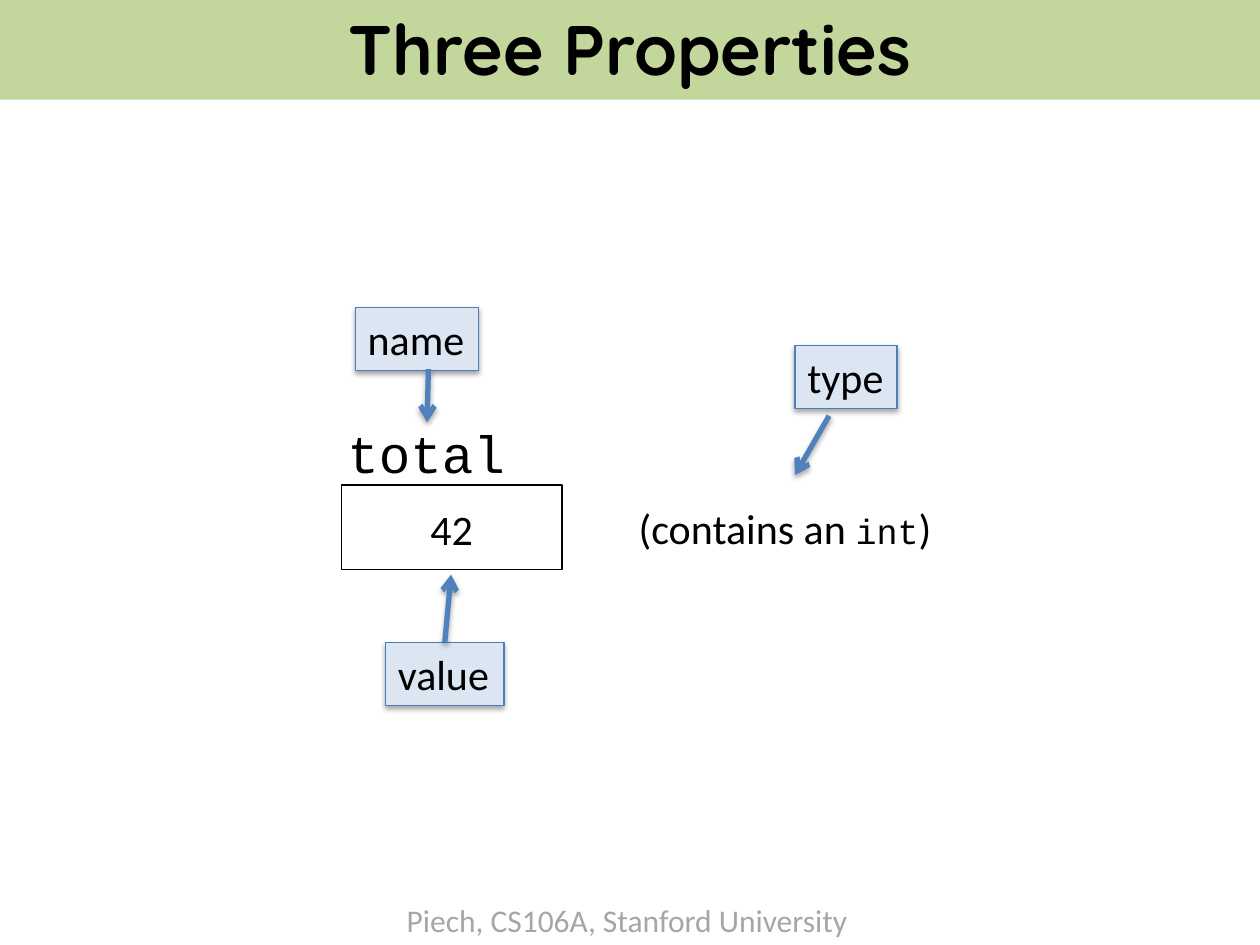
import pptx
import pptx.dml.color
import pptx.enum.shapes
import pptx.enum.text
import pptx.oxml
import pptx.oxml.ns
import pptx.util
from lxml import etree

RGBColor = pptx.dml.color.RGBColor
Inches = pptx.util.Inches
Pt = pptx.util.Pt
Align = pptx.enum.text.PP_ALIGN
Anchor = pptx.enum.text.MSO_ANCHOR
AutoSize = pptx.enum.text.MSO_AUTO_SIZE
RECTANGLE = pptx.enum.shapes.MSO_SHAPE.RECTANGLE
STRAIGHT = pptx.enum.shapes.MSO_CONNECTOR.STRAIGHT

BLACK = RGBColor(0x00, 0x00, 0x00)
WHITE = RGBColor(0xFF, 0xFF, 0xFF)
GRAY = RGBColor(0xA6, 0xA6, 0xA6)
GREEN = RGBColor(0xC3, 0xD6, 0x9B)
PALE_BLUE = RGBColor(0xDC, 0xE6, 0xF2)
EDGE_BLUE = RGBColor(0x4B, 0x7E, 0xBC)
ARROW_BLUE = RGBColor(0x4F, 0x81, 0xBD)

BODY = "Calibri"
CODE = "Courier New"
HEADING = "Quicksand"

SHADOW = (
    f'<a:effectLst {pptx.oxml.ns.nsdecls("a")}>'
    '<a:outerShdw blurRad="39370" dist="22860" dir="5400000" rotWithShape="0">'
    '<a:srgbClr val="000000"><a:alpha val="35000"/></a:srgbClr>'
    '</a:outerShdw></a:effectLst>'
)


def inches(values):
    return [Inches(value) for value in values]


def add_shadow(shape):
    """Give a shape or connector the soft shadow below it."""
    properties = shape._element.spPr
    for old in properties.findall(pptx.oxml.ns.qn("a:effectLst")):
        properties.remove(old)
    properties.append(pptx.oxml.parse_xml(SHADOW))


def write(shape, spans, align=Align.LEFT, color=BLACK, bold=False, wrap=False):
    """Fill a shape with one paragraph of (text, font, size) spans."""
    frame = shape.text_frame
    frame.word_wrap = wrap
    para = frame.paragraphs[0]
    para.alignment = align
    for text, font, size in spans:
        span = para.add_run()
        span.text = text
        span.font.name = font
        span.font.size = Pt(size)
        span.font.bold = bold
        span.font.color.rgb = color


def add_text(page, at, spans, **style):
    box = page.shapes.add_textbox(*inches(at))
    write(box, spans, **style)
    box.text_frame.auto_size = AutoSize.SHAPE_TO_FIT_TEXT
    return box


def add_rectangle(page, at, fill, line):
    box = page.shapes.add_shape(RECTANGLE, *inches(at))
    box.shadow.inherit = False
    box.fill.solid()
    box.fill.fore_color.rgb = fill
    box.line.color.rgb = line
    box.line.width = Pt(0.75)
    return box


def add_label(page, left, top, width, text):
    """Add a shaded label that names one property."""
    box = add_rectangle(page, (left, top, width, 0.5), PALE_BLUE, EDGE_BLUE)
    add_shadow(box)
    write(box, [(text, BODY, 24)])
    box.text_frame.vertical_anchor = Anchor.TOP
    box.text_frame.auto_size = AutoSize.SHAPE_TO_FIT_TEXT
    return box


def add_arrow(page, start, end):
    arrow = page.shapes.add_connector(STRAIGHT, *inches(start + end))
    arrow.line.color.rgb = ARROW_BLUE
    arrow.line.width = Pt(3)
    etree.SubElement(arrow.line._get_or_add_ln(),
                     pptx.oxml.ns.qn("a:tailEnd"), type="arrow")
    add_shadow(arrow)
    return arrow


def format_title(page, width):
    title = page.shapes.title
    title.left, title.top, title.width, title.height = (
        0, Inches(-0.03), width, Inches(0.82))
    title.fill.solid()
    title.fill.fore_color.rgb = GREEN
    write(title, [("Three Properties", HEADING, 40)],
          align=Align.CENTER, bold=True, wrap=True)
    title.text_frame.vertical_anchor = Anchor.MIDDLE
    title.text_frame.auto_size = AutoSize.NONE


def main():
    deck = pptx.Presentation()
    deck.slide_width, deck.slide_height = Inches(10), Inches(7.5)
    page = deck.slides.add_slide(deck.slide_layouts[5])

    # Title band and footer
    format_title(page, deck.slide_width)
    add_text(page, (3.13, 7.1, 3.74, 0.4),
             [("Piech, CS106A, Stanford University", BODY, 18)], color=GRAY)

    # The variable: its name, its box and value, its type
    add_rectangle(page, (2.71, 3.85, 1.75, 0.67), WHITE, BLACK)
    add_text(page, (2.66, 3.29, 1.46, 0.61), [("total", CODE, 30)])
    add_text(page, (4.97, 3.94, 2.56, 0.5),
             [("(contains an ", BODY, 24), ("int", CODE, 20), (")", BODY, 24)])
    add_text(page, (2.82, 3.95, 1.53, 0.5), [("42", BODY, 24)],
             align=Align.CENTER, wrap=True)

    # Property labels
    add_label(page, 2.82, 2.44, 0.98, "name")
    value = add_label(page, 3.06, 5.1, 0.94, "value")
    add_label(page, 6.31, 2.74, 0.81, "type")

    # Arrows from the labels to the parts of the variable
    add_arrow(page, (3.4, 2.93), (3.39, 3.35))
    add_arrow(page, (6.58, 3.3), (6.31, 3.77))
    value_arrow = add_arrow(page, (3.53, 5.1), (3.58, 4.56))
    value_arrow.begin_connect(value, 0)

    deck.save("out.pptx")


if __name__ == "__main__":
    main()
